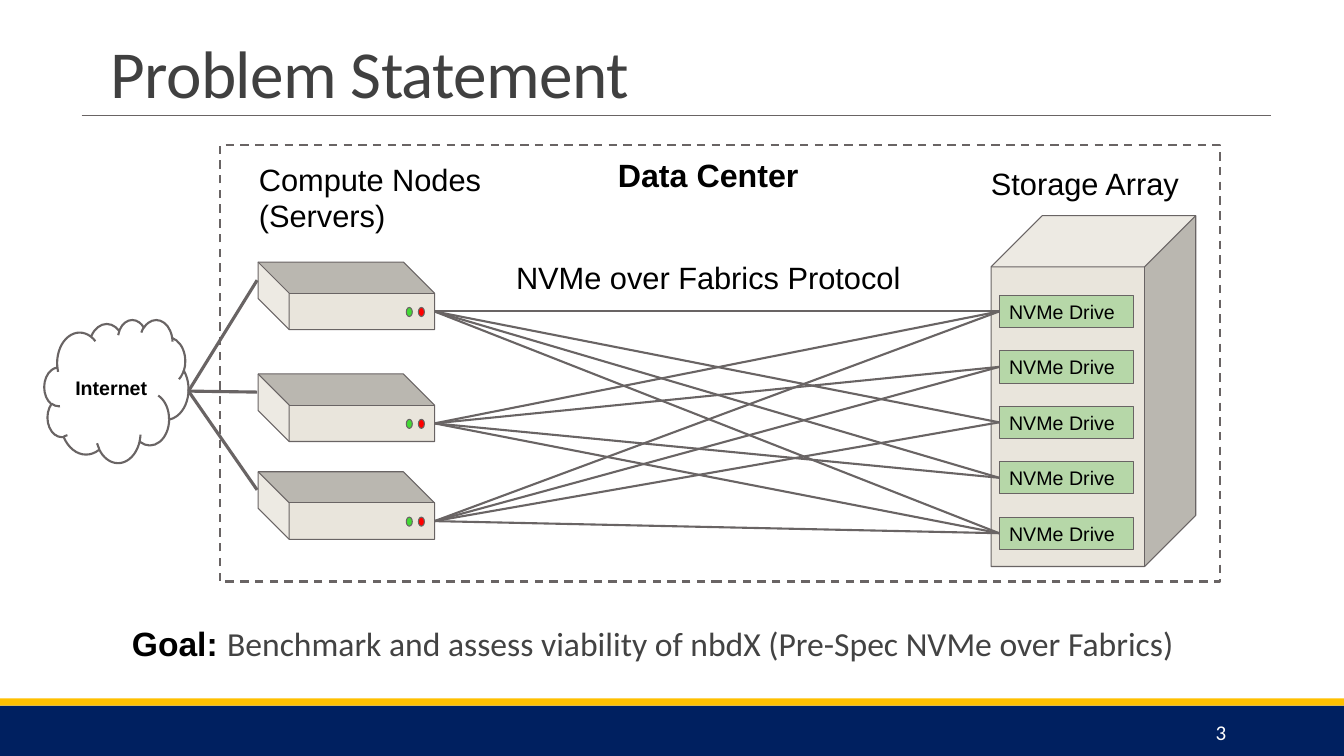
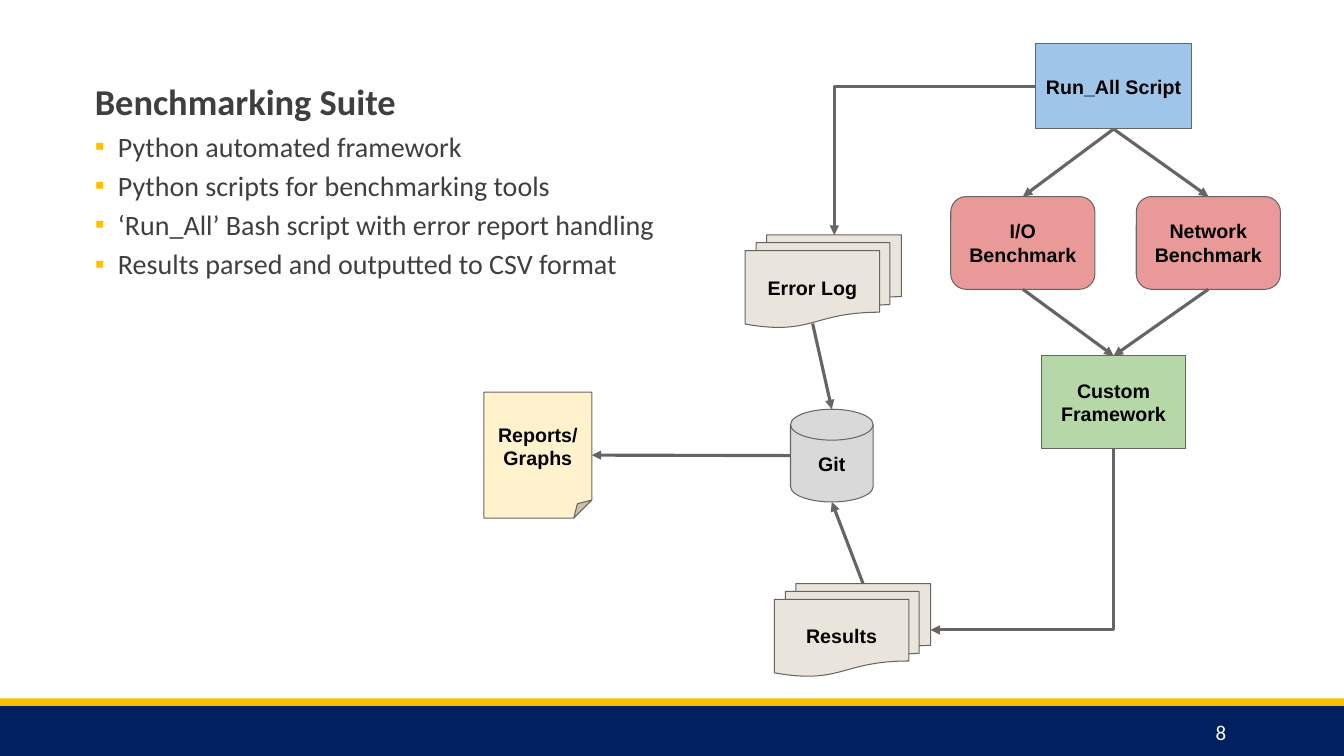
from collections import namedtuple

from lxml.etree import SubElement
from pptx import Presentation
from pptx.dml.color import RGBColor
from pptx.enum.dml import MSO_LINE
from pptx.enum.shapes import MSO_CONNECTOR as Wire, MSO_SHAPE as Form
from pptx.enum.text import MSO_ANCHOR as Anchor, MSO_AUTO_SIZE, PP_ALIGN as Align
from pptx.oxml.ns import qn
from pptx.util import Pt

SCALE = 9144  # EMU per px, 100 px to the inch
WIDTH, HEIGHT = 1333, 750

NAVY, GOLD, WHITE, BLACK = "002060", "FFC000", "FFFFFF", "000000"
GREY, DARK, BODY, GOAL = "696464", "404040", "3F3F3F", "434343"
STONE, GREEN, RED, BLUE = "E9E5DC", "B6D7A8", "EA9999", "9FC5E8"
CREAM, SILVER = "FFF2CC", "D9D9D9"
LED_GREEN, LED_RED = "42D934", "FF0000"
SANS, TEXT = "Arial", "Calibri"

TOP, LEFT, BOTTOM, RIGHT = range(4)
LAYOUT_BODY, LAYOUT_TITLE = 1, 5

Span = namedtuple("Span", "text size font color bold",
                  defaults=(14, SANS, BLACK, False))
Port = namedtuple("Port", "x y shape side", defaults=(None, None))


def px(length):
    return round(length * SCALE)


def rgb(code):
    return RGBColor.from_string(code)


def port(shape, side, dx=0, dy=0):
    """Middle of a shape's side, shifted by dx, dy."""
    across, down = {TOP: (0.5, 0), LEFT: (0, 0.5),
                    BOTTOM: (0.5, 1), RIGHT: (1, 0.5)}[side]
    x = (shape.left + shape.width * across) / SCALE + dx
    y = (shape.top + shape.height * down) / SCALE + dy
    return Port(x, y, shape, side)


class Painter:
    """Holds the deck, its style and the current page."""

    def __init__(self):
        self.deck = Presentation()
        self.deck.slide_width, self.deck.slide_height = px(WIDTH), px(HEIGHT)
        self.page = None

    def new_page(self, layout, number):
        self.page = self.deck.slides.add_slide(self.deck.slide_layouts[layout])
        # Footer bands and page number
        self.shape(Form.RECTANGLE, (0, 700, WIDTH, 50), NAVY, line=None)
        self.shape(Form.RECTANGLE, (0, 693, WIDTH, 7), GOLD, line=None)
        self.text((1083, 706, 143, 40), [Span(number, 15, TEXT, WHITE)],
                  align=Align.RIGHT, anchor=Anchor.MIDDLE, inset=5)

    def set_text(self, frame, paras, align=Align.LEFT, anchor=Anchor.TOP, inset=10):
        frame.word_wrap = True
        frame.auto_size = MSO_AUTO_SIZE.NONE
        frame.vertical_anchor = anchor
        frame.margin_left = frame.margin_right = px(10)
        frame.margin_top = frame.margin_bottom = px(inset)
        for index, spans in enumerate(paras):
            para = frame.add_paragraph() if index else frame.paragraphs[0]
            para.alignment = align
            for span in spans:
                run = para.add_run()
                run.text = span.text
                run.font.size, run.font.bold = Pt(span.size), span.bold
                run.font.name, run.font.color.rgb = span.font, rgb(span.color)

    def place(self, holder, at):
        holder.left, holder.top, holder.width, holder.height = map(px, at)
        return holder.text_frame

    def title(self, at, span, anchor, inset, spacing=1.0, tracking=0):
        frame = self.place(self.page.shapes.title, at)
        self.set_text(frame, [[span]], anchor=anchor, inset=inset)
        para = frame.paragraphs[0]
        para.line_spacing = spacing
        para.runs[0].font._element.set("spc", str(tracking))

    def bullets(self, at, lines, indent=23):
        frame = self.place(self.page.placeholders[1], at)
        self.set_text(frame, [[Span(line, 20, TEXT, BODY)] for line in lines], inset=5)
        for para in frame.paragraphs:
            para.space_before = Pt(4)
            props = para._p.get_or_add_pPr()
            props.set("marL", str(px(indent)))
            props.set("indent", str(px(-indent)))
            color = SubElement(props, qn("a:buClr"))
            SubElement(color, qn("a:srgbClr")).set("val", GOLD)
            SubElement(props, qn("a:buChar")).set("char", "▪")

    def text(self, at, spans, **layout):
        box = self.page.shapes.add_textbox(*map(px, at))
        self.set_text(box.text_frame, [spans], **layout)

    def shape(self, form, at, fill=None, line=GREY, weight=0.75, dash=None,
              turn=0, adjust=None):
        shape = self.page.shapes.add_shape(form, *map(px, at))
        shape.shadow.inherit = False
        shape.rotation = turn
        if adjust is not None:
            shape.adjustments[0] = adjust
        if fill:
            shape.fill.solid()
            shape.fill.fore_color.rgb = rgb(fill)
        else:
            shape.fill.background()
        if line:
            shape.line.color.rgb = rgb(line)
            shape.line.width = Pt(weight)
            shape.line.dash_style = dash
        else:
            shape.line.fill.background()
        return shape

    def node(self, form, at, label, fill=None, bold=True, align=Align.CENTER,
             weight=0.75):
        shape = self.shape(form, at, fill, weight=weight)
        self.set_text(shape.text_frame, [[Span(label, bold=bold)]],
                      align=align, anchor=Anchor.MIDDLE)
        return shape

    def link(self, start, end, weight=2.25, arrow=None, elbow=False):
        """Connector between two ports; arrow is headEnd or tailEnd."""
        ends = [px(value) for value in (*start[:2], *end[:2])]
        kind = Wire.ELBOW if elbow else Wire.STRAIGHT
        wire = self.page.shapes.add_connector(kind, *ends)
        if start.shape is not None:
            wire.begin_connect(start.shape, start.side)
            wire.begin_x, wire.begin_y = ends[:2]
        if end.shape is not None:
            wire.end_connect(end.shape, end.side)
            wire.end_x, wire.end_y = ends[2:]
        wire.line.color.rgb = rgb(GREY)
        wire.line.width = Pt(weight)
        props = wire.element.spPr
        if elbow:
            props.find(qn("a:prstGeom")).set("prst", "bentConnector2")
        if arrow:
            SubElement(props.find(qn("a:ln")), qn(f"a:{arrow}")).set("type", "triangle")
        SubElement(props, qn("a:effectLst"))


def problem_page(art):
    art.new_page(LAYOUT_TITLE, "3")
    art.title((100, 23, 1233, 98), Span("Problem Statement", 48, TEXT, DARK),
              Anchor.BOTTOM, 10, spacing=0.85, tracking=-50)
    art.link(Port(81, 115), Port(1261, 115), weight=0.75)

    # Storage array with its drives
    art.shape(Form.CUBE, (983, 214, 203, 348), STONE)
    drives = [art.node(Form.FLOWCHART_PROCESS, (991, 293 + 55 * row, 133, 32),
                       "NVMe Drive", GREEN, bold=False, align=Align.LEFT)
              for row in range(5)]

    # Internet and compute nodes; each node skips one drive
    art.node(Form.CLOUD, (44, 317, 143, 142), "Internet", weight=1.5)
    for row, top in enumerate((206, 317, 414)):
        art.shape(Form.CUBE, (310, top, 67, 175), STONE, turn=270, adjust=0.461)
        for left, color in ((403, LED_GREEN), (415, LED_RED)):
            art.shape(Form.OVAL, (left, top + 99, 6, 9), color)
        art.link(Port(187, 388), Port(255, top + 72))
        for index, drive in enumerate(drives):
            if index != row + 1:
                art.link(Port(431, top + 103), port(drive, LEFT), weight=1.5)

    # Labels
    for at, label in (((973, 153, 223, 40), "Storage Array"),
                      ((247, 149, 286, 53), "Compute Nodes (Servers)"),
                      ((502, 247, 410, 40), "NVMe over Fabrics Protocol")):
        art.text(at, [Span(label, 22)])
    art.text((202, 144, 1001, 56), [Span("Data Center", 23, bold=True)],
             align=Align.CENTER)
    art.text((121, 608, 1091, 78), [
        Span("Goal: ", 24, bold=True),
        Span("Benchmark and assess viability of nbdX (Pre-Spec NVMe over Fabrics)",
             24, TEXT, GOAL)])

    # Data center boundary
    art.shape(Form.RECTANGLE, (218, 144, 992, 433), weight=1.5, dash=MSO_LINE.DASH)


def suite_page(art):
    art.new_page(LAYOUT_BODY, "8")
    art.title((84, 73, 700, 50), Span("Benchmarking Suite", 26, TEXT, BODY, True),
              Anchor.TOP, 5)
    art.bullets((84, 123, 700, 175), (
        "Python automated framework",
        "Python scripts for benchmarking tools",
        "‘Run_All’ Bash script with error report handling",
        "Results parsed and outputted to CSV format"))

    # Workflow steps
    script = art.node(Form.RECTANGLE, (1027, 43, 155, 85), "Run_All Script", BLUE)
    framework = art.node(Form.RECTANGLE, (1033, 353, 143, 92),
                         "Custom Framework", GREEN)
    errors = art.node(Form.FLOWCHART_MULTIDOCUMENT, (739, 233, 155, 92),
                      "Error Log", STONE)
    results = art.node(Form.FLOWCHART_MULTIDOCUMENT, (768, 579, 155, 92),
                       "Results", STONE)
    art.node(Form.FLOWCHART_MAGNETIC_DISK, (784, 406, 82, 92), "Git", SILVER)
    reports = art.node(Form.FOLDED_CORNER, (480, 389, 107, 125),
                       "Reports/Graphs", CREAM)

    # Benchmarks run between the script and the framework
    for left, label in ((943, "I/O Benchmark"), (1127, "Network Benchmark")):
        bench = art.node(Form.ROUNDED_RECTANGLE, (left, 195, 143, 92), label, RED)
        art.link(port(script, BOTTOM), port(bench, TOP), arrow="tailEnd")
        art.link(port(bench, BOTTOM), port(framework, TOP), arrow="tailEnd")

    # Logs and results flow through the repository to the reports
    art.link(port(script, LEFT), port(errors, TOP, dx=11),
             arrow="tailEnd", elbow=True)
    art.link(port(results, RIGHT), port(framework, BOTTOM),
             arrow="headEnd", elbow=True)
    art.link(Port(806, 321), Port(825, 406), arrow="tailEnd")
    art.link(Port(856, 579), Port(825, 498), arrow="tailEnd")
    art.link(Port(784, 452), port(reports, RIGHT), arrow="tailEnd")


def main():
    art = Painter()
    problem_page(art)
    suite_page(art)
    art.deck.save("out.pptx")


if __name__ == "__main__":
    main()
